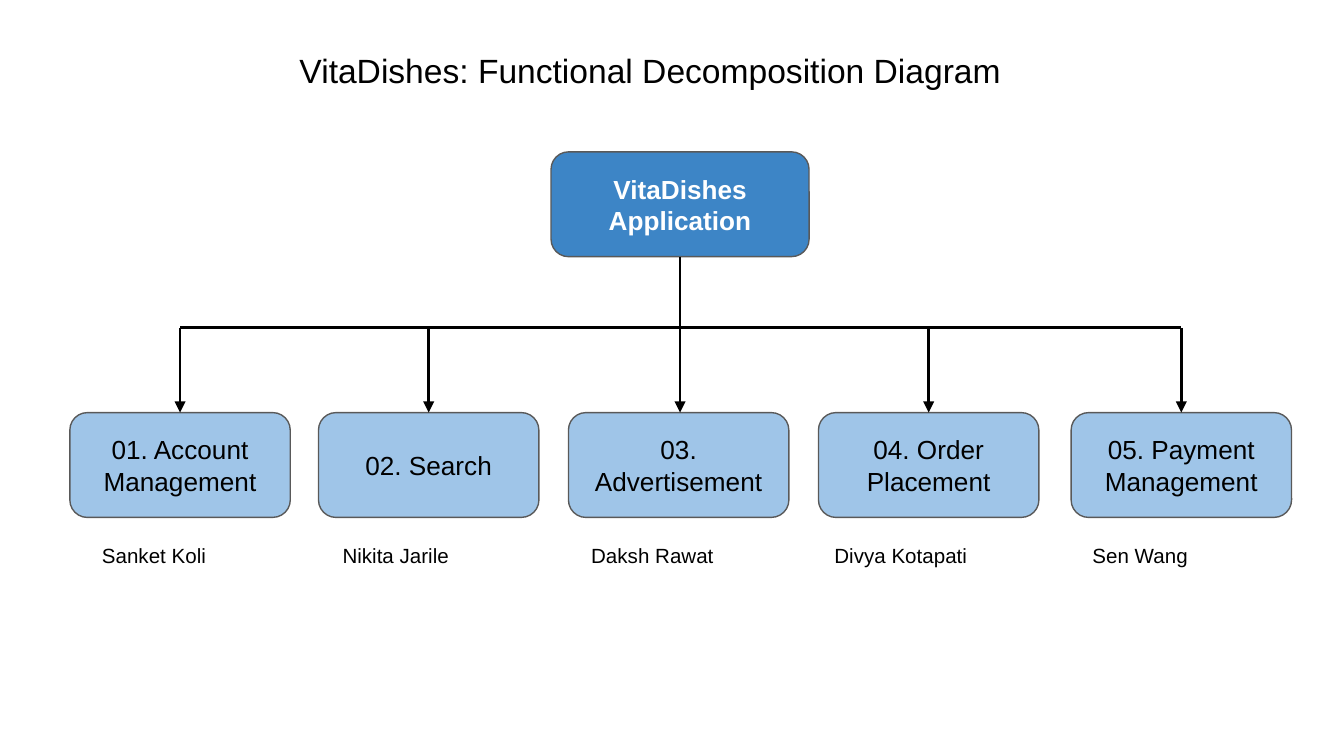
from dataclasses import dataclass

from lxml.etree import SubElement
from pptx import Presentation
from pptx.dml.color import RGBColor
from pptx.enum.shapes import MSO_CONNECTOR as Connector, MSO_SHAPE as Shape
from pptx.enum.text import MSO_ANCHOR as Anchor, MSO_AUTO_SIZE as AutoSize, PP_ALIGN as Align
from pptx.oxml.ns import qn
from pptx.util import Inches, Pt


@dataclass(frozen=True)
class Theme:
    font: str = "Arial"
    black: RGBColor = RGBColor(0x00, 0x00, 0x00)
    white: RGBColor = RGBColor(0xFF, 0xFF, 0xFF)
    root: RGBColor = RGBColor(0x3D, 0x85, 0xC6)
    function: RGBColor = RGBColor(0x9F, 0xC5, 0xE8)
    outline: RGBColor = RGBColor(0x59, 0x59, 0x59)
    title_size: int = 18
    box_size: int = 14
    owner_size: int = 11


theme = Theme()
deck = Presentation()
deck.slide_width = Inches(10)
deck.slide_height = Inches(10 * 9 / 16)
page = deck.slides.add_slide(deck.slide_layouts[6])


def add_text(text, *, left, top, width, height, size, color=theme.black,
             bold=False, fill=None, wrap=True, inset=0.1):
    """Add a text box, or a centred rounded box when a fill is given."""
    place = [Inches(length) for length in (left, top, width, height)]
    if fill is None:
        box = page.shapes.add_textbox(*place)
    else:
        box = page.shapes.add_shape(Shape.ROUNDED_RECTANGLE, *place)
        box.shadow.inherit = False
        box.fill.solid()
        box.fill.fore_color.rgb = fill
        box.line.color.rgb = theme.outline
        box.line.width = Pt(0.75)
    frame = box.text_frame
    frame.word_wrap = wrap
    frame.auto_size = AutoSize.NONE if wrap else AutoSize.SHAPE_TO_FIT_TEXT
    frame.vertical_anchor = Anchor.TOP if fill is None else Anchor.MIDDLE
    frame.margin_left = frame.margin_right = Inches(0.1)
    frame.margin_top = frame.margin_bottom = Inches(inset)
    para = frame.paragraphs[0]
    para.alignment = Align.LEFT if fill is None else Align.CENTER
    span = para.add_run()
    span.text = text
    span.font.name = theme.font
    span.font.size = Pt(size)
    span.font.bold = bold
    span.font.color.rgb = color


def add_line(start, end, arrow=True):
    line = page.shapes.add_connector(
        Connector.STRAIGHT, *[Inches(length) for length in (*start, *end)])
    line.line.color.rgb = theme.black
    line.line.width = Pt(1.5)
    properties = line._element.spPr
    if arrow:
        SubElement(properties.find(qn("a:ln")), qn("a:tailEnd"), type="triangle")
    SubElement(properties, qn("a:effectLst"))


add_text("VitaDishes: Functional Decomposition Diagram", left=2.13, top=0.32,
         width=5.51, height=0.4, size=theme.title_size, wrap=False, inset=0.05)

box_height = 0.78
root_left, root_top, root_width = 4.1, 1.13, 1.92
root_bottom = root_top + box_height
add_text("VitaDishes Application", left=root_left, top=root_top,
         width=root_width, height=box_height, size=theme.box_size,
         color=theme.white, bold=True, fill=theme.root)

# Function, left edge of its box, owner, left edge of the owner's name
functions = [
    ("01. Account Management", 0.52, "Sanket Koli", 0.66),
    ("02. Search", 2.37, "Nikita Jarile", 2.45),
    ("03. Advertisement", 4.23, "Daksh Rawat", 4.3),
    ("04. Order Placement", 6.09, "Divya Kotapati", 6.11),
    ("05. Payment Management", 7.97, "Sen Wang", 8.03),
]
function_top, function_width = 3.07, 1.64
owner_top, owner_width, owner_height = 3.94, 1.65, 0.58
bus_y = 2.44
centers = [left + function_width / 2 for _, left, _, _ in functions]
centers[2] = root_left + root_width / 2

for (name, left, owner, owner_left), center in zip(functions, centers):
    add_text(name, left=left, top=function_top, width=function_width,
             height=box_height, size=theme.box_size, fill=theme.function)
    add_text(owner, left=owner_left, top=owner_top, width=owner_width,
             height=owner_height, size=theme.owner_size)
    # The middle arrow runs straight down from the root box
    arrow_top = root_bottom if center == centers[2] else bus_y
    add_line((center, arrow_top), (center, function_top))

add_line((centers[0], bus_y), (centers[-1], bus_y), arrow=False)

deck.save("out.pptx")
